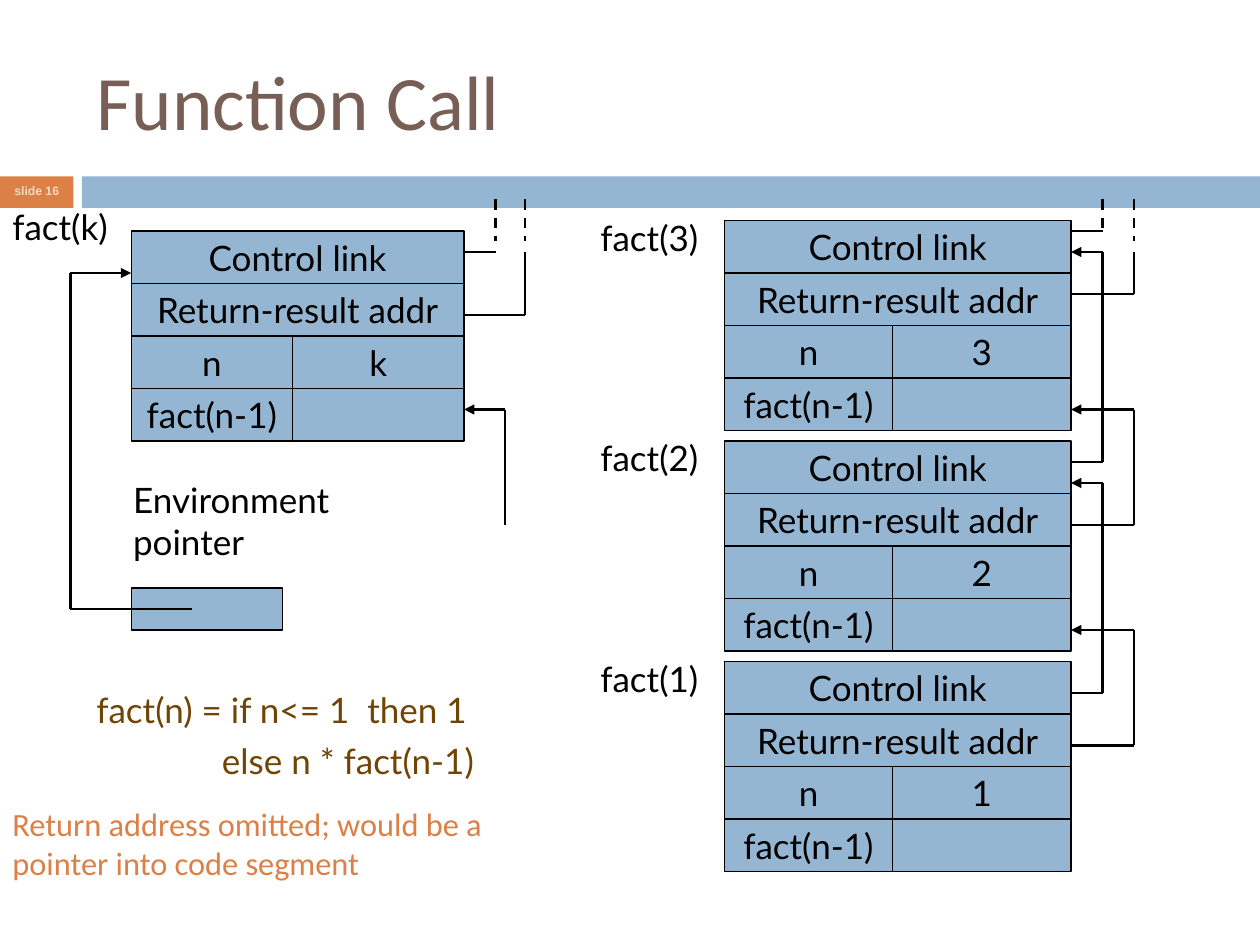
from itertools import pairwise

from lxml import etree
from pptx import Presentation
from pptx.dml.color import RGBColor
from pptx.enum.dml import MSO_LINE
from pptx.enum.shapes import MSO_CONNECTOR, MSO_SHAPE
from pptx.enum.text import MSO_ANCHOR, PP_ALIGN
from pptx.oxml.ns import qn
from pptx.util import Inches, Pt

RECTANGLE = MSO_SHAPE.RECTANGLE
STRAIGHT = MSO_CONNECTOR.STRAIGHT
DASH = MSO_LINE.DASH
TOP, MIDDLE = MSO_ANCHOR.TOP, MSO_ANCHOR.MIDDLE
LEFT, CENTER = PP_ALIGN.LEFT, PP_ALIGN.CENTER

COLORS = {
    "black": "000000", "blue": "94B6D2", "orange": "DD8047",
    "title": "775F55", "number": "EBDDC3", "code": "704404",
}

# The slide is a grid of 120 columns by 90 rows, twelve to the inch
CELL = Inches(1) / 12
ROW = 5

# Content: activation records as (left, top, width, split, argument, label, label box)
RECORDS = [
    (12.5, 22, 31.7, 15.36, "k", "fact(k)", (0, 19, 14.4, 5.3)),
] + [
    (69, 21 * place, 33, 16, argument, f"fact({argument})", (56, 21 * place - 1, 15, 5.3))
    for place, argument in enumerate("321", start=1)
]

TITLE = "Function Call"
SLIDE_NUMBER = "slide 16"
NOTE = "Return address omitted; would be a pointer into code segment"
POINTER_LABEL = "Environment pointer"
CODE = ["fact(n) = if n<= 1  then 1", "              else n * fact(n-1)"]

# Links: corner points on the grid
PLAIN_LINKS = [
    [(44.2, 24), (47.2, 24)],
    [(44.2, 30), (50, 30), (50, 24)],
    [(102, 22), (105, 22)],
    [(102, 28), (108, 28), (108, 24)],
]
DASHED_LINKS = [
    [(47.2, 19), (47.2, 23)],
    [(50, 19), (50, 23)],
    [(105, 19), (105, 22)],
    [(108, 19), (108, 23)],
]
ARROW_LINKS = [
    [(18.25, 58), (6.7, 58), (6.7, 26), (12.5, 26)],
    [(48.1, 50), (48.1, 39), (44.2, 39)],
    [(102, 44), (105, 44), (105, 24), (102, 24)],
    [(102, 50), (108, 50), (108, 39), (102, 39)],
    [(102, 66), (105, 66), (105, 46), (102, 46)],
    [(102, 71), (108, 71), (108, 60), (102, 60)],
]


def place(*values):
    return [round(value * CELL) for value in values]


def color(name):
    return RGBColor.from_string(COLORS[name])


def write(shape, lines, size=20, font="Lato", ink="black", align=LEFT,
          anchor=TOP, wrap=True, bold=False):
    frame = shape.text_frame
    frame.word_wrap = wrap
    frame.vertical_anchor = anchor
    for index, line in enumerate(lines):
        paragraph = frame.add_paragraph() if index else frame.paragraphs[0]
        paragraph.alignment = align
        run = paragraph.add_run()
        run.text = line
        run.font.size, run.font.name, run.font.bold = Pt(size), font, bold
        run.font.color.rgb = color(ink)
    return frame


def add_text(slide, box, lines, **style):
    return write(slide.shapes.add_textbox(*place(*box)), lines, **style)


def add_box(slide, box, text="", fill="blue", outlined=True):
    shape = slide.shapes.add_shape(RECTANGLE, *place(*box))
    shape.shadow.inherit = False
    shape.fill.solid()
    shape.fill.fore_color.rgb = color(fill)
    if outlined:
        shape.line.color.rgb = color("black")
        shape.line.width = Pt(0.75)
    else:
        shape.line.fill.background()
    if text:
        write(shape, [text], align=CENTER, anchor=MIDDLE, wrap=False)


def add_record(slide, left, top, width, split, argument, label, label_box):
    rest = width - split
    cells = [
        (0, 0, width, "Control link"),
        (0, 1, width, "Return-result addr"),
        (0, 2, split, "n"),
        (split, 2, rest, argument),
        (0, 3, split, "fact(n-1)"),
        (split, 3, rest, ""),
    ]
    for offset, row, cell_width, text in cells:
        add_box(slide, (left + offset, top + row * ROW, cell_width, ROW), text)
    add_text(slide, label_box, [label])


def add_link(slide, points, arrow=False, dashed=False):
    for start, end in pairwise(points):
        connector = slide.shapes.add_connector(STRAIGHT, *place(*start, *end))
        connector.line.color.rgb = color("black")
        connector.line.width = Pt(1.5)
        if dashed:
            connector.line.dash_style = DASH
        if arrow and end == points[-1]:
            etree.SubElement(connector.line._get_or_add_ln(), qn("a:tailEnd"), type="triangle")
        etree.SubElement(connector._element.spPr, qn("a:effectLst"))


def main():
    presentation = Presentation()
    presentation.slide_width, presentation.slide_height = place(120, 90)
    slide = presentation.slides.add_slide(presentation.slide_layouts[6])

    # Title and band with the slide number
    add_box(slide, (0, 16.8, 7, 3), fill="orange", outlined=False)
    add_box(slide, (7.8, 16.8, 112.2, 3), fill="blue", outlined=False)
    add_text(slide, (8, 3, 107, 13), [TITLE], size=44, font="Calibri",
             ink="title", anchor=MIDDLE)
    number = add_text(slide, (0, 16.7, 7, 3.2), [SLIDE_NUMBER], size=7, font="Arial",
                      ink="number", align=CENTER, anchor=MIDDLE, bold=True)
    number.paragraphs[0].line_spacing = 0.8

    # Activation records and environment pointer
    for record in RECORDS:
        add_record(slide, *record)
    add_text(slide, (11.5, 45, 24, 9.2), [POINTER_LABEL])
    add_box(slide, (12.5, 56, 14.4, 4))

    # Links between records
    for points in PLAIN_LINKS:
        add_link(slide, points)
    for points in DASHED_LINKS:
        add_link(slide, points, dashed=True)
    for points in ARROW_LINKS:
        add_link(slide, points, arrow=True)

    # Code and note
    code = add_text(slide, (2, 65, 56, 13), CODE, ink="code")
    for paragraph in code.paragraphs:
        properties = paragraph._p.get_or_add_pPr()
        properties.set("marL", str(Inches(0.81)))
        properties.set("indent", str(Inches(-0.31)))
    code.paragraphs[1].space_before = Pt(5)
    add_text(slide, (0, 76, 50, 10), [NOTE], size=18.5, font="Calibri", ink="orange")

    presentation.save("out.pptx")


if __name__ == "__main__":
    main()
